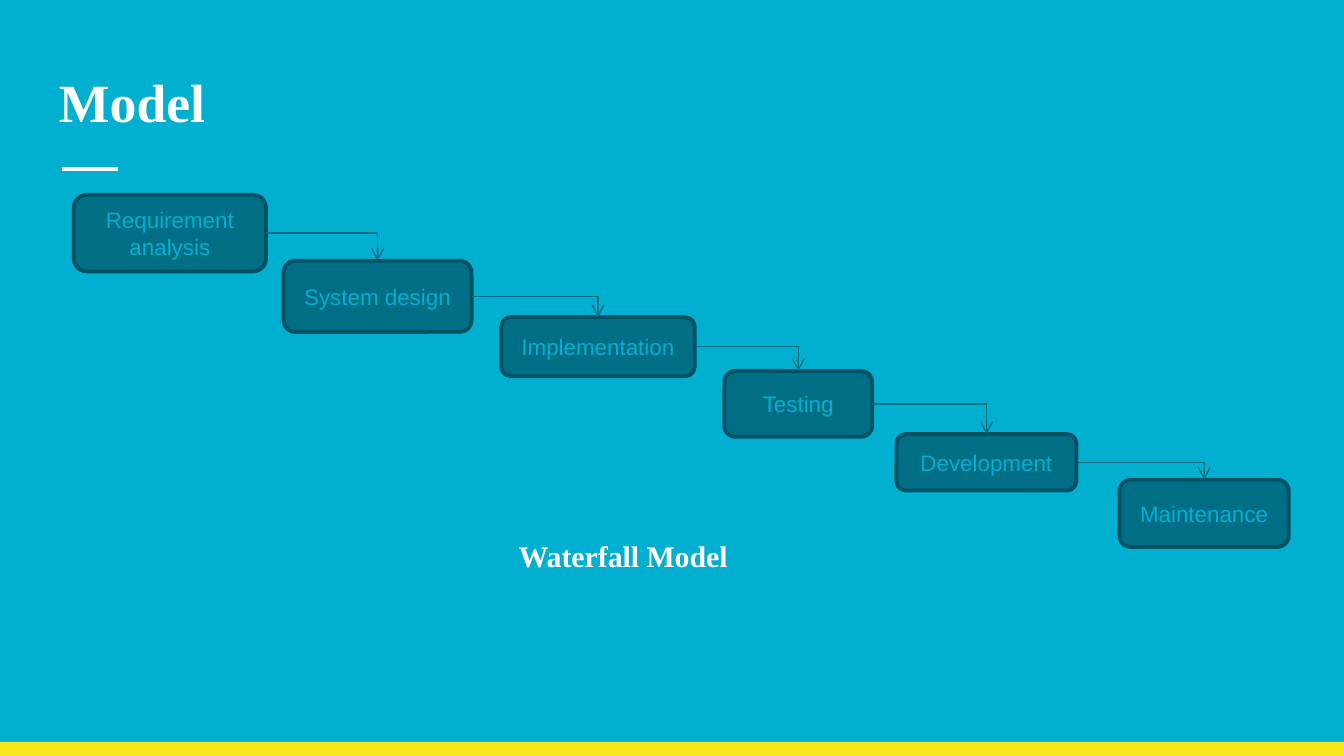
from lxml import etree
from pptx import Presentation
from pptx import util as u
from pptx.dml.color import RGBColor
from pptx.enum import shapes, text
from pptx.oxml import ns

SKY = RGBColor(0x01, 0xAF, 0xD1)
YELLOW = RGBColor(0xF8, 0xE7, 0x1C)
WHITE = RGBColor(0xFF, 0xFF, 0xFF)
TEAL = RGBColor(0x00, 0x6F, 0x85)
DARK_TEAL = RGBColor(0x00, 0x52, 0x62)
ARROW_TEAL = RGBColor(0x00, 0x6D, 0x82)

HEADING_FONT = {"name": "Times New Roman", "bold": True}
STAGE_FONT = {"name": "Arial", "size": u.Pt(12)}
STAGES = [
    ("Requirement analysis", 0.55, 1.45, 1.43, 0.57),
    ("System design", 2.11, 1.94, 1.4, 0.53),
    ("Implementation", 3.73, 2.36, 1.44, 0.44),
    ("Testing", 5.39, 2.76, 1.1, 0.49),
    ("Development", 6.67, 3.23, 1.34, 0.42),
    ("Maintenance", 8.33, 3.57, 1.26, 0.5),
]
HEADINGS = [
    ("Model", (0.34, 0.41, 9.32, 0.71), 28.8, 0.1),
    ("Waterfall Model", (3.76, 3.95, 2.01, 0.37), 16, 0.05),
]


def write(shape, words, color, font_values):
    paragraph = shape.text_frame.paragraphs[0]
    paragraph.text = words
    for name, value in font_values.items():
        setattr(paragraph.font, name, value)
    paragraph.font.color.rgb = color
    return paragraph


def style_connector(connector, color, width):
    connector.line.color.rgb = color
    connector.line.width = u.Pt(width)
    etree.SubElement(connector._element.spPr, ns.qn("a:effectLst"))


presentation = Presentation()
presentation.slide_width = u.Inches(10)
presentation.slide_height = u.Inches(10) * 9 // 16
slide = presentation.slides.add_slide(presentation.slide_layouts[6])
slide.background.fill.solid()
slide.background.fill.fore_color.rgb = SKY

footer = slide.shapes.add_shape(
    shapes.MSO_SHAPE.RECTANGLE, u.Inches(0), u.Inches(5.52), u.Inches(10), u.Inches(0.11))
footer.shadow.inherit = False
footer.fill.solid()
footer.fill.fore_color.rgb = YELLOW
footer.line.fill.background()

rule = slide.shapes.add_connector(
    shapes.MSO_CONNECTOR.STRAIGHT, u.Inches(0.46), u.Inches(1.26), u.Inches(0.88), u.Inches(1.26))
style_connector(rule, WHITE, 2.25)

for words, position, size, inset in HEADINGS:
    heading = slide.shapes.add_textbox(*map(u.Inches, position))
    frame_values = {
        "word_wrap": True,
        "vertical_anchor": text.MSO_ANCHOR.TOP,
        "margin_top": u.Inches(inset),
        "margin_bottom": u.Inches(inset),
    }
    for name, value in frame_values.items():
        setattr(heading.text_frame, name, value)
    write(heading, words, WHITE, {**HEADING_FONT, "size": u.Pt(size)})

stage_boxes = []
for words, *position in STAGES:
    box = slide.shapes.add_shape(
        shapes.MSO_SHAPE.ROUNDED_RECTANGLE, *map(u.Inches, position))
    box.shadow.inherit = False
    box.fill.solid()
    box.fill.fore_color.rgb = TEAL
    box.line.color.rgb = DARK_TEAL
    box.line.width = u.Pt(2)
    box.text_frame.word_wrap = True
    box.text_frame.vertical_anchor = text.MSO_ANCHOR.MIDDLE
    write(box, words, SKY, STAGE_FONT).alignment = text.PP_ALIGN.CENTER
    stage_boxes.append(box)

for upper, lower in zip(stage_boxes, stage_boxes[1:]):
    arrow = slide.shapes.add_connector(shapes.MSO_CONNECTOR.ELBOW, 0, 0, 0, 0)
    arrow.begin_connect(upper, 3)
    arrow.end_connect(lower, 0)
    arrow._element.spPr.find(ns.qn("a:prstGeom")).set("prst", "bentConnector2")
    style_connector(arrow, ARROW_TEAL, 0.75)
    etree.SubElement(arrow.line._get_or_add_ln(), ns.qn("a:tailEnd"), type="arrow")

presentation.save("out.pptx")
